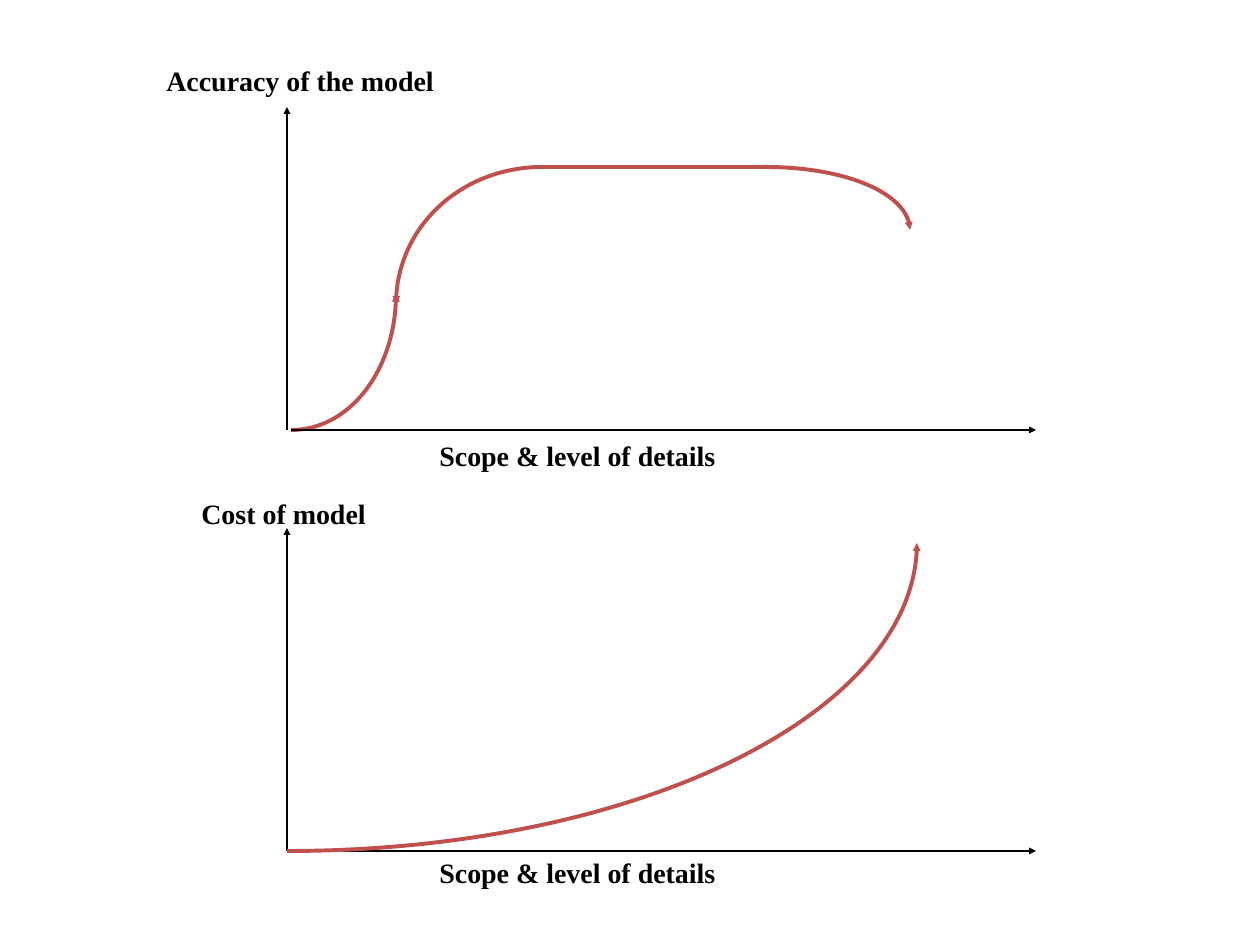
import pptx
import pptx.dml.color
import pptx.enum.shapes
import pptx.enum.text
import pptx.util
from lxml import etree
from pptx.oxml.ns import qn

SCALE = 914400 // 126
BLACK = pptx.dml.color.RGBColor(0x00, 0x00, 0x00)
RED = pptx.dml.color.RGBColor(0xC0, 0x50, 0x4D)
FONT = "Times New Roman"
QUARTER = 0.55


def px(n):
    return pptx.util.Emu(round(n * SCALE))


class Sketch:
    """Draws axes, curves and labels in one style on the current slide."""

    def __init__(self, slide):
        self.s = slide

    def style(self, sp, color, width, arrow):
        sp.line.color.rgb = color
        sp.line.width = pptx.util.Pt(width)
        if arrow:
            ln = sp.line._get_or_add_ln()
            etree.SubElement(ln, qn("a:tailEnd"), type="triangle", w="sm", len="sm")

    def line(self, start, end, color=BLACK, width=1, arrow=True):
        sp = self.s.shapes.add_connector(
            pptx.enum.shapes.MSO_CONNECTOR.STRAIGHT, *map(px, start + end))
        self.style(sp, color, width, arrow)
        etree.SubElement(sp._element.spPr, qn("a:effectLst"))

    def curve(self, start, end):
        builder = self.s.shapes.build_freeform(*map(px, start))
        builder.add_line_segments([tuple(map(px, end))], close=False)
        sp = builder.convert_to_shape()
        self.bend(sp)
        sp.shadow.inherit = False
        sp.fill.background()
        self.style(sp, RED, 2.25, True)

    def bend(self, sp):
        segment = next(sp._element.iter(qn("a:lnTo")))
        (x0, y0), (x1, y1) = [(int(pt.get("x")), int(pt.get("y")))
                              for pt in sp._element.iter(qn("a:pt"))]
        bezier = etree.Element(qn("a:cubicBezTo"))
        for x, y in ((x0 + QUARTER * (x1 - x0), y0),
                     (x1, y1 + QUARTER * (y0 - y1)), (x1, y1)):
            etree.SubElement(bezier, qn("a:pt"), x=str(round(x)), y=str(round(y)))
        segment.getparent().replace(segment, bezier)

    def axes(self, bottom):
        self.line((291, bottom), (1036, bottom))
        self.line((287, bottom), (287, bottom - 323))

    def label(self, text, left, top, width):
        sp = self.s.shapes.add_textbox(px(left), px(top), px(width), px(35))
        tf = sp.text_frame
        tf.word_wrap = True
        tf.margin_top = tf.margin_bottom = 0
        tf.vertical_anchor = pptx.enum.text.MSO_ANCHOR.MIDDLE
        p = tf.paragraphs[0]
        p.text = text
        p.font.name = FONT
        p.font.size = pptx.util.Pt(16)
        p.font.bold = True
        p.font.color.rgb = BLACK


def main():
    prs = pptx.Presentation()
    prs.slide_width = pptx.util.Inches(10)
    prs.slide_height = pptx.util.Inches(7.5)
    sketch = Sketch(prs.slides.add_slide(prs.slide_layouts[6]))

    sketch.curve((291, 430), (396, 294))
    sketch.curve((543, 167), (396, 304))
    sketch.line((543, 167), (764, 167), RED, 2.25, arrow=False)
    sketch.curve((764, 167), (910, 230))
    sketch.axes(430)

    sketch.axes(851)
    sketch.curve((287, 851), (917, 543))

    sketch.label("Accuracy of the model", 154, 63, 392)
    sketch.label("Scope & level of details", 427, 438, 404)
    sketch.label("Scope & level of details", 427, 855, 404)
    sketch.label("Cost of model", 189, 496, 255)
    prs.save("out.pptx")


if __name__ == "__main__":
    main()
